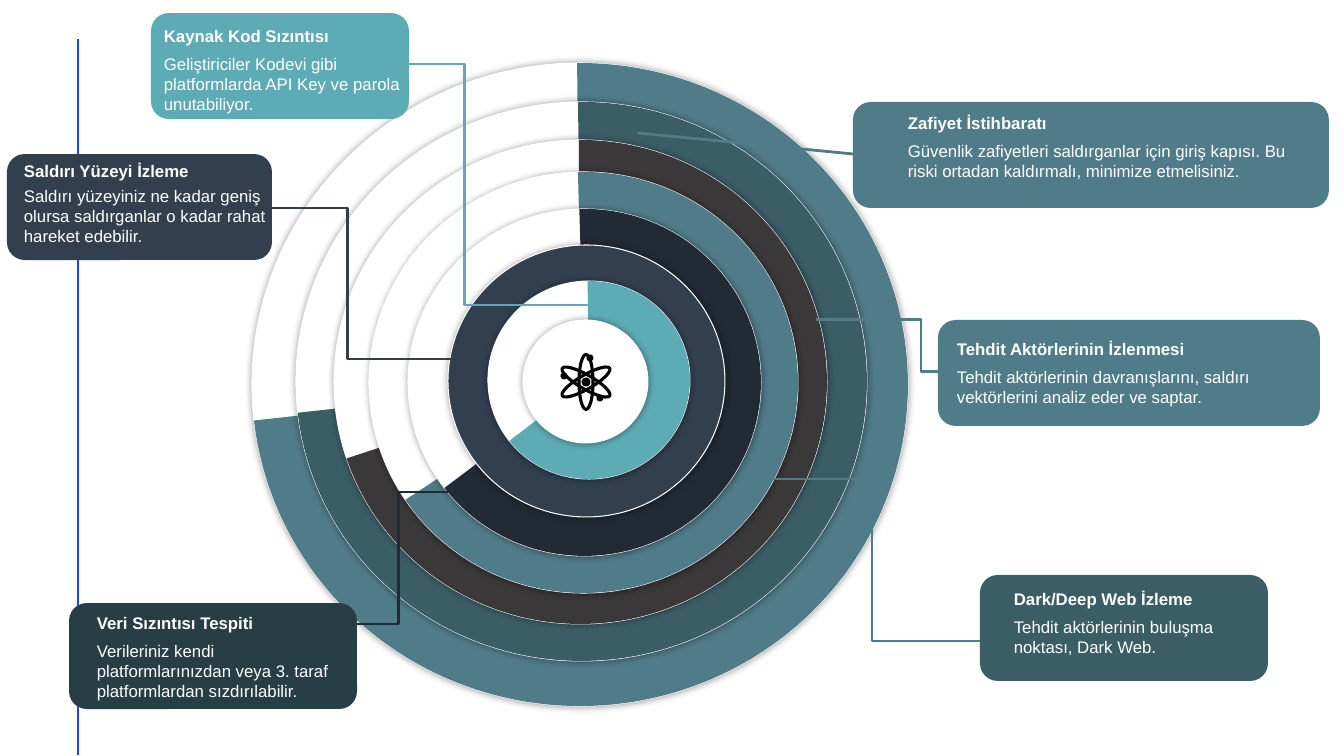
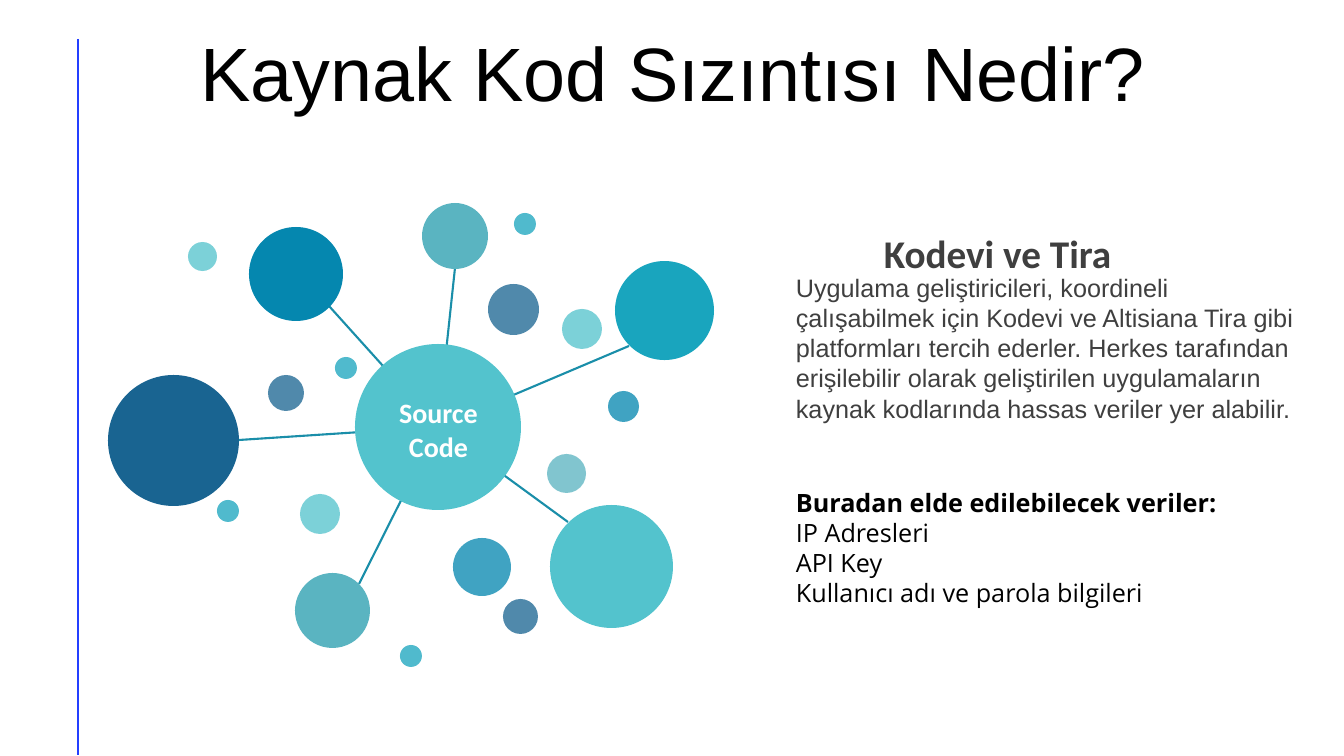
from lxml.etree import SubElement
from pptx import Presentation
from pptx.dml.color import RGBColor
from pptx.enum.shapes import MSO_CONNECTOR as Connector, MSO_SHAPE as Preset
from pptx.enum.text import MSO_ANCHOR as Anchor, MSO_AUTO_SIZE as AutoSize, PP_ALIGN as Align
from pptx.oxml.ns import qn
from pptx.util import Emu, Pt

WIDTH, HEIGHT = 1344, 756
EMU_PER_PX = 12192000 / WIDTH
TITLE_LAYOUT, BLANK_LAYOUT = 5, 6

WHITE = RGBColor(0xFF, 0xFF, 0xFF)
BLACK = RGBColor(0x00, 0x00, 0x00)
GREY = RGBColor(0x3F, 0x3F, 0x3F)
CHARCOAL = RGBColor(0x3A, 0x38, 0x38)
RULE_BLUE = RGBColor(0x24, 0x3F, 0xFF)
STEEL = RGBColor(0x50, 0x7C, 0x89)
PINE = RGBColor(0x3B, 0x5D, 0x66)
DARK_PINE = RGBColor(0x27, 0x3E, 0x44)
NIGHT = RGBColor(0x22, 0x2A, 0x35)
SLATE = RGBColor(0x32, 0x3F, 0x4F)
TEAL = RGBColor(0x5D, 0xAB, 0xB5)
SPOKE_TEAL = RGBColor(0x1A, 0x8E, 0xA9)
AQUA = RGBColor(0x53, 0xC3, 0xCD)
CYAN = RGBColor(0x19, 0xA5, 0xBE)
MIST = RGBColor(0x5A, 0xB4, 0xC1)
NAVY = RGBColor(0x19, 0x64, 0x91)
OCEAN = RGBColor(0x05, 0x87, 0xAF)

# box, disc fill, sector colour, sector start and end in degrees
RINGS = [
    ((252, 63, 656, 643), WHITE, STEEL, 269.5, 173.7),
    ((296, 102, 571, 559), WHITE, PINE, 269.3, 173.7),
    ((334, 140, 493, 484), WHITE, CHARCOAL, 269.6, 161.9),
    ((369, 172, 429, 421), WHITE, STEEL, 268.5, 146.6),
    ((408, 209, 353, 347), WHITE, NIGHT, 268.3, 143),
    ((448, 245, 277, 272), SLATE, None, 0, 0),
    ((488, 281, 202, 198), WHITE, TEAL, 269.2, 142.6),
    ((523, 320, 125, 123), WHITE, None, 0, 0),
]

# kind, start, end, colour
LEADERS = [
    (Connector.STRAIGHT, (638, 133), (853, 154), STEEL),
    (Connector.ELBOW, (316, 624), (481, 492), NIGHT),
    (Connector.ELBOW, (985, 641), (759, 479), STEEL),
    (Connector.ELBOW, (215, 208), (480, 359), SLATE),
    (Connector.ELBOW, (612, 305), (317, 64), TEAL),
    (Connector.ELBOW, (1026, 372), (816, 320), STEEL),
]

# card box, colour, text left, top and width, gap under heading, heading, body
CARD_HEIGHT = 106
CARDS = [
    ((853, 102, 476), STEEL, (898, 108, 422), 5.5, "Zafiyet İstihbaratı",
     "Güvenlik zafiyetleri saldırganlar için giriş kapısı. Bu riski ortadan "
     "kaldırmalı, minimize etmelisiniz."),
    ((69, 603, 288), DARK_PINE, (87, 608, 275), 5.5, "Veri Sızıntısı Tespiti",
     "Verileriniz kendi platformlarınızdan veya 3. taraf platformlardan sızdırılabilir."),
    ((980, 575, 288), PINE, (1004, 584, 270), 5.5, "Dark/Deep Web İzleme",
     "Tehdit aktörlerinin buluşma noktası, Dark Web."),
    ((7, 154, 265), SLATE, (14, 156, 275), 3, "Saldırı Yüzeyi İzleme",
     "Saldırı yüzeyiniz ne kadar geniş olursa saldırganlar o kadar rahat hareket edebilir."),
    ((151, 13, 258), TEAL, (154, 21, 275), 5.5, "Kaynak Kod Sızıntısı",
     "Geliştiriciler Kodevi gibi platformlarda API Key ve parola unutabiliyor."),
    ((938, 320, 382), STEEL, (947, 334, 360), 5.5, "Tehdit Aktörlerinin İzlenmesi",
     "Tehdit aktörlerinin davranışlarını, saldırı vektörlerini analiz eder ve saptar."),
]

HUB_CENTRE = (438, 427)
# left, top, diameter, colour, spoke end
NODES = [
    (615, 261, 99, CYAN, (629, 346)),
    (422, 203, 66, MIST, (455, 268)),
    (550, 505, 123, AQUA, (568, 522)),
    (295, 573, 75, MIST, (359, 584)),
    (108, 375, 131, NAVY, (239, 440)),
    (249, 227, 94, OCEAN, (329, 306)),
]

# left, top, diameter, colour
BUBBLES = [
    (453, 538, 58, OCEAN), (488, 284, 51, NAVY), (300, 494, 40, AQUA),
    (608, 391, 31, OCEAN), (188, 242, 29, AQUA), (547, 454, 39, MIST),
    (268, 375, 36, NAVY), (335, 357, 22, CYAN), (514, 213, 22, CYAN),
    (400, 645, 22, CYAN), (217, 500, 22, CYAN), (562, 309, 40, AQUA),
    (503, 599, 35, NAVY),
]
BUBBLE_OPACITY = 76


def px(*lengths):
    return [Emu(round(length * EMU_PER_PX)) for length in lengths]


def add_shape(slide, preset, box, fill=None, line=None, line_width=0.75):
    shape = slide.shapes.add_shape(preset, *px(*box))
    shape.shadow.inherit = False
    if fill is None:
        shape.fill.background()
    else:
        shape.fill.solid()
        shape.fill.fore_color.rgb = fill
    if line is None:
        shape.line.fill.background()
    else:
        shape.line.color.rgb = line
        shape.line.width = Pt(line_width)
    return shape


def add_circle(slide, left, top, diameter, fill):
    return add_shape(slide, Preset.OVAL, (left, top, diameter, diameter), fill)


def add_line(slide, kind, start, end, color, width=2):
    connector = slide.shapes.add_connector(kind, *px(*start, *end))
    connector.line.color.rgb = color
    connector.line.width = Pt(width)
    SubElement(connector.element.spPr, qn("a:effectLst"))
    return connector


def add_text_frame(slide, box):
    frame = slide.shapes.add_textbox(*px(*box)).text_frame
    frame.word_wrap = True
    return frame


def write(frame, text, size=12, color=WHITE, font="Arial", bold=False,
          align=None, space_before=None, line_spacing=None):
    """Fill the empty first paragraph of the frame, or add one after the last."""
    paragraph = frame.paragraphs[0] if not frame.text else frame.add_paragraph()
    paragraph.alignment = align
    if space_before:
        paragraph.space_before = Pt(space_before)
    if line_spacing:
        paragraph.line_spacing = line_spacing
    run = paragraph.add_run()
    run.text = text
    run.font.name = font
    run.font.size = Pt(size)
    run.font.bold = bold
    run.font.color.rgb = color


def set_opacity(shape, percent):
    color = shape.element.spPr.find(qn("a:solidFill")).find(qn("a:srgbClr"))
    SubElement(color, qn("a:alpha"), val=str(percent * 1000))


def add_glow_shadow(shape, blur=5, opacity=40):
    effects = shape.element.spPr.find(qn("a:effectLst"))
    shadow = SubElement(effects, qn("a:outerShdw"), blurRad=str(Pt(blur)), dist="0",
                        dir="0", algn="ctr", rotWithShape="0")
    color = SubElement(shadow, qn("a:srgbClr"), val=str(BLACK))
    SubElement(color, qn("a:alpha"), val=str(opacity * 1000))


def add_ring(slide, box, disc_color, sector_color, start, end):
    add_glow_shadow(add_shape(slide, Preset.OVAL, box, disc_color, WHITE))
    if sector_color is not None:
        sector = add_shape(slide, Preset.PIE, box, sector_color)
        # An angle is stored in 1/60000 degree, an adjustment in 1/100000.
        sector.adjustments[0] = start * 0.6
        sector.adjustments[1] = end * 0.6


def add_card(slide, box, color, text_place, gap, heading, body):
    add_shape(slide, Preset.ROUNDED_RECTANGLE, (*box, CARD_HEIGHT), color)
    frame = add_text_frame(slide, (*text_place, 98))
    write(frame, heading, bold=True)
    write(frame, body, space_before=gap)


def add_atom(slide, center_x, center_y):
    width, height = 14, 55
    for angle in (0, 60, 120):
        orbit = add_shape(slide, Preset.OVAL,
                          (center_x - width / 2, center_y - height / 2, width, height),
                          line=BLACK, line_width=2.25)
        orbit.rotation = angle
    for offset_x, offset_y, diameter in ((0, 0, 9), (4, -24, 7), (-22, -6, 7), (14, 16, 7)):
        add_circle(slide, center_x + offset_x - diameter / 2,
                   center_y + offset_y - diameter / 2, diameter, BLACK)


def add_master_rule(presentation, slide):
    """Draw the left rule, then move it to the master that all slides share."""
    rule = add_line(slide, Connector.STRAIGHT, (78, 39), (78, 755), RULE_BLUE)
    presentation.slide_master.shapes.element.append(rule.element)


def build_services_slide(slide):
    for ring in RINGS:
        add_ring(slide, *ring)
    for leader in LEADERS:
        add_line(slide, *leader)
    for card in CARDS:
        add_card(slide, *card)
    add_atom(slide, 586, 382)


def set_title(slide, text):
    title = slide.shapes.title
    title.left, title.top, title.width, title.height = px(35, 37, 1276, 80)
    frame = title.text_frame
    frame.auto_size = AutoSize.NONE
    frame.vertical_anchor = Anchor.MIDDLE
    write(frame, text, size=54, color=BLACK, align=Align.CENTER, line_spacing=0.9)


def add_network(slide):
    for *_, spoke_end in NODES:
        add_line(slide, Connector.STRAIGHT, HUB_CENTRE, spoke_end, SPOKE_TEAL, 1.5)
    add_circle(slide, 355, 344, 166, AQUA)
    for *node, _ in NODES:
        add_circle(slide, *node)
    for bubble in BUBBLES:
        set_opacity(add_circle(slide, *bubble), BUBBLE_OPACITY)
    label = add_text_frame(slide, (367, 391, 143, 78))
    for word in ("Source", "Code"):
        write(label, word, size=20, font="Calibri", bold=True, align=Align.CENTER)


def build_leak_slide(slide):
    set_title(slide, "Kaynak Kod Sızıntısı Nedir?")
    add_network(slide)
    write(add_text_frame(slide, (874, 224, 437, 57)), "Kodevi ve Tira",
          size=28, color=GREY, font="Calibri", bold=True)
    write(add_text_frame(slide, (786, 267, 525, 163)),
          "Uygulama geliştiricileri, koordineli çalışabilmek için Kodevi ve Altisiana Tira "
          "gibi platformları tercih ederler. Herkes tarafından erişilebilir olarak "
          "geliştirilen uygulamaların kaynak kodlarında hassas veriler yer alabilir.",
          size=18, color=GREY)
    data_list = add_text_frame(slide, (786, 482, 487, 132))
    write(data_list, "Buradan elde edilebilecek veriler:", size=18, color=BLACK,
          font="Open Sans", bold=True)
    for item in ("IP Adresleri", "API Key", "Kullanıcı adı ve parola bilgileri"):
        write(data_list, item, size=18, color=BLACK, font="Open Sans")


def main():
    presentation = Presentation()
    presentation.slide_width, presentation.slide_height = px(WIDTH, HEIGHT)
    layouts = presentation.slide_layouts
    services_slide = presentation.slides.add_slide(layouts[BLANK_LAYOUT])
    add_master_rule(presentation, services_slide)
    build_services_slide(services_slide)
    build_leak_slide(presentation.slides.add_slide(layouts[TITLE_LAYOUT]))
    presentation.save("out.pptx")


if __name__ == "__main__":
    main()
